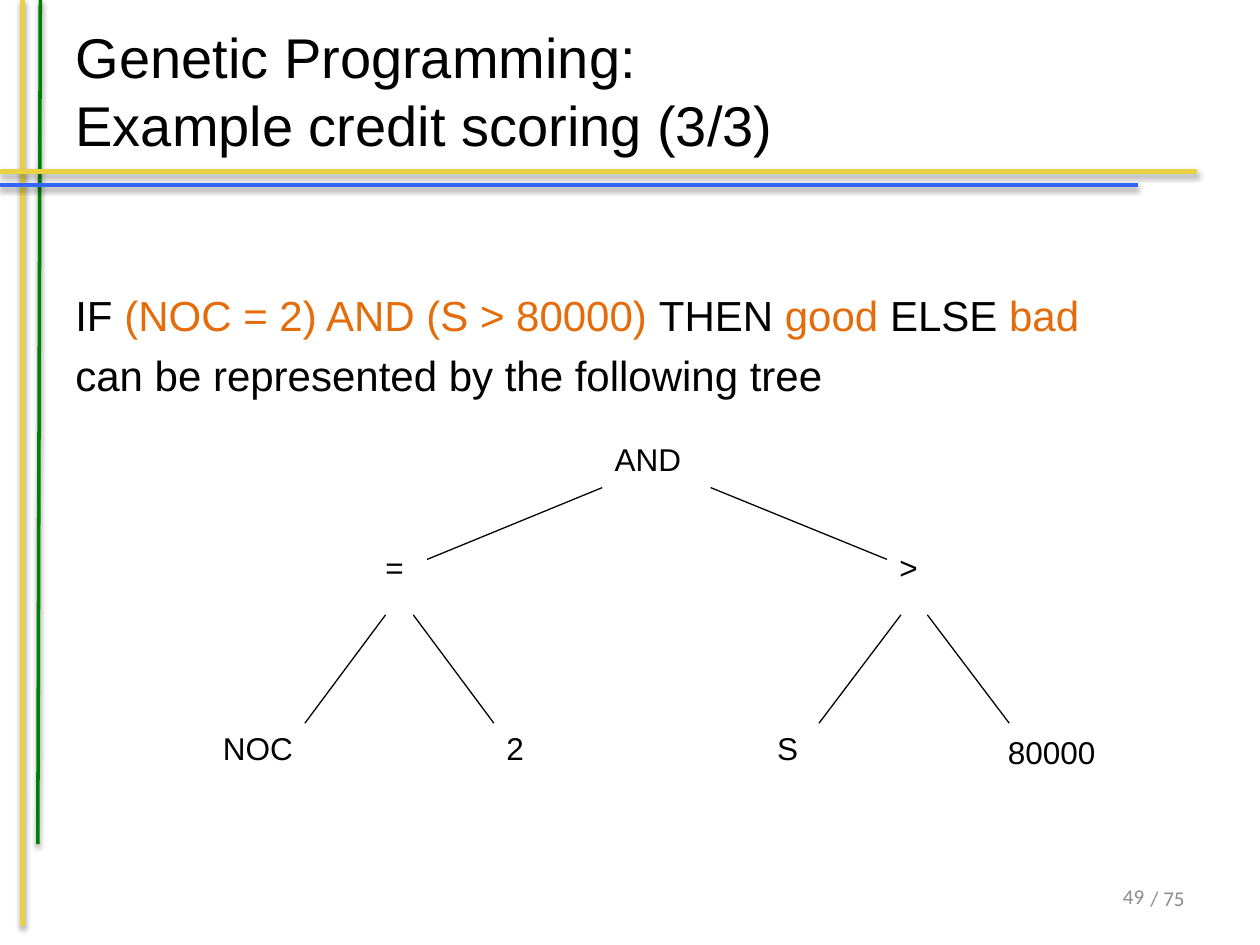
"""Build the credit scoring tree slide."""
from lxml import etree
from pptx import Presentation
from pptx import util as u
from pptx.dml.color import RGBColor
from pptx.enum import shapes, text
from pptx.oxml.ns import qn

BLACK, GREY, ORANGE = "000000", "8C8C8C", "E46C0A"
GOLD, GREEN, BLUE = "E8D241", "008000", "3366FF"

RULES = [
    ((0.18, 0), (0.18, 7.35), GOLD, 3),
    ((0.32, 0), (0.3, 6.7), GREEN, 2),
    ((0, 1.36), (9.5, 1.36), GOLD, 3),
    ((0, 1.47), (9.03, 1.47), BLUE, 2),
]
NODES = [
    ("AND", 4.78, 3.44, 1.29),
    ("=", 2.96, 4.3, 0.54),
    (">", 7.04, 4.3, 0.54),
    ("NOC", 1.67, 5.74, 1.29),
    ("2", 3.92, 5.74, 0.54),
    ("S", 6.07, 5.74, 0.54),
    ("80000", 7.9, 5.77, 1.18),
]
EDGES = [
    ((4.78, 3.87), (3.39, 4.44)),
    ((5.64, 3.87), (7.04, 4.44)),
    ((3.06, 4.88), (2.42, 5.74)),
    ((3.28, 4.88), (3.92, 5.74)),
    ((7.15, 4.88), (6.5, 5.74)),
    ((7.36, 4.88), (8.01, 5.74)),
]
CLAIM = [
    [("IF ", BLACK), ("(NOC = 2) AND (S > 80000) ", ORANGE), ("THEN ", BLACK),
     ("good ", ORANGE), ("ELSE ", BLACK), ("bad", ORANGE)],
    [("can be represented by the following tree", BLACK)],
]


def paint(color):
    """Turn a hex string into a colour."""
    return RGBColor.from_string(color)


def style(font, size, color=None, name="Arial"):
    """Set the size, face and colour of a font."""
    font.size, font.name = u.Pt(size), name
    if color:
        font.color.rgb = paint(color)


def place(shape, left, top, width, height):
    """Move and size a shape in inches."""
    shape.left, shape.top = u.Inches(left), u.Inches(top)
    shape.width, shape.height = u.Inches(width), u.Inches(height)


def add_line(slide, start, end, color=BLACK, width=0.75, shade=False):
    """Draw a straight line, with a soft shadow if asked."""
    line = slide.shapes.add_connector(
        shapes.MSO_CONNECTOR.STRAIGHT, *(u.Inches(v) for v in start + end))
    line.line.color.rgb = paint(color)
    line.line.width = u.Pt(width)
    effect = etree.SubElement(line._element.spPr, qn("a:effectLst"))
    if shade:
        cast = etree.SubElement(
            effect, qn("a:outerShdw"), blurRad=str(u.Pt(3.1)),
            dist=str(u.Pt(1.6)), dir="5400000", rotWithShape="0")
        tint = etree.SubElement(cast, qn("a:srgbClr"), val=BLACK)
        etree.SubElement(tint, qn("a:alpha"), val="38000")


def add_box(slide, left, top, width, height, wrap=True):
    """Add an empty text box and return its frame."""
    box = slide.shapes.add_textbox(
        *(u.Inches(v) for v in (left, top, width, height)))
    box.text_frame.word_wrap = wrap
    return box.text_frame


def add_title(slide, words):
    """Fill and format the title."""
    title = slide.shapes.title
    place(title, 0.5, 0.09, 9, 1.25)
    frame = title.text_frame
    frame.text = words
    frame.vertical_anchor = text.MSO_ANCHOR.MIDDLE
    frame.paragraphs[0].alignment = text.PP_ALIGN.LEFT
    style(frame.paragraphs[0].font, 32, BLACK)


def add_claim(slide, lines):
    """Write the rule in coloured runs."""
    frame = add_box(slide, 0.5, 2.25, 9, 1)
    for i, parts in enumerate(lines):
        para = frame.add_paragraph() if i else frame.paragraphs[0]
        para.space_before = u.Pt(5.5 if i else 0)
        style(para.font, 24)
        for words, color in parts:
            run = para.add_run()
            run.text = words
            run.font.color.rgb = paint(color)


def add_node(slide, words, left, top, width):
    """Label one node of the tree."""
    para = add_box(slide, left, top, width, 0.4).paragraphs[0]
    para.text = words
    style(para.font, 18, BLACK)


def add_count(slide, words, *spot, wrap=True):
    """Write one part of the page count."""
    frame = add_box(slide, *spot, wrap=wrap)
    frame.vertical_anchor = text.MSO_ANCHOR.MIDDLE
    para = frame.paragraphs[0]
    para.text = words
    para.alignment = text.PP_ALIGN.RIGHT
    style(para.font, 12, GREY, "Calibri")


def main():
    """Build and save the slide."""
    deck = Presentation()
    deck.slide_width, deck.slide_height = u.Inches(10), u.Inches(7.5)
    slide = deck.slides.add_slide(deck.slide_layouts[5])
    for start, end, color, width in RULES:
        add_line(slide, start, end, color, width, shade=True)
    add_title(slide, "Genetic Programming:\vExample credit scoring (3/3)")
    add_claim(slide, CLAIM)
    for node in NODES:
        add_node(slide, *node)
    for start, end in EDGES:
        add_line(slide, start, end)
    add_count(slide, "49", 8.15, 6.84, 1.03, 0.55)
    add_count(slide, "/ 75", 9.02, 6.98, 0.48, 0.3, wrap=False)
    deck.save("out.pptx")


if __name__ == "__main__":
    main()
